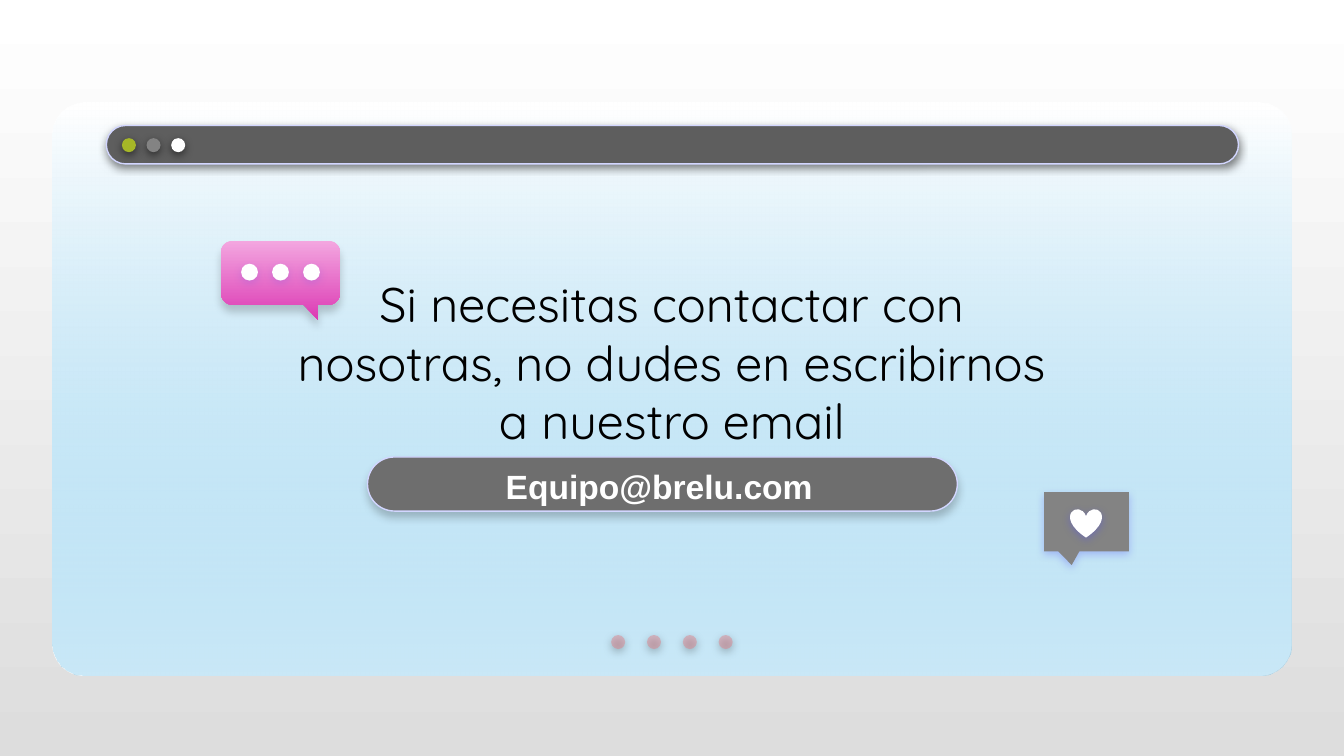
"""Build the contact slide: a browser card with an e-mail pill and chat bubbles."""
from math import cos, radians, sin

from lxml.etree import SubElement
from pptx import Presentation
from pptx.dml.color import RGBColor as RGB
from pptx.enum.shapes import MSO_SHAPE as Kind
from pptx.enum.text import MSO_ANCHOR as Anchor, PP_ALIGN as Align
from pptx.oxml.ns import qn
from pptx.util import Pt

WHITE = RGB(0xFF, 0xFF, 0xFF)
BLACK = RGB(0, 0, 0)
MIST = RGB(0xDD, 0xDD, 0xDD)
SKY = RGB(0x66, 0xBE, 0xE9)
ROSE = RGB(0xE2, 0x7B, 0x83)
LILAC = RGB(0xD2, 0xD6, 0xFF)
DARK = RGB(0x5E, 0x5E, 0x5E)
STONE = RGB(0x6E, 0x6E, 0x6E)
GREY = RGB(0x83, 0x83, 0x83)
LIME = RGB(0xA6, 0xB7, 0x27)
PINK = RGB(0xF3, 0xA7, 0xE0)
ROUGE = RGB(0xDC, 0x3B, 0xB4)
BLUE = RGB(0x53, 0x52, 0xEE)


def blend(fill, top, end):
    fill.gradient()
    fill.gradient_angle = 270
    for stop, tint, place in zip(fill.gradient_stops, (top, end), (0, 1)):
        stop.color.rgb = tint
        stop.position = place


def dress(shape, fill=None, alpha=None, line=None, shade=None):
    shape.shadow.inherit = False
    if fill is not None:
        shape.fill.solid()
        shape.fill.fore_color.rgb = fill
    if line is None:
        shape.line.fill.background()
    else:
        shape.line.color.rgb = line
        shape.line.width = Pt(0.75)
    props = shape._element.spPr
    if alpha:
        for tint in props.findall(".//" + qn("a:srgbClr"))[-1:]:
            SubElement(tint, qn("a:alpha"), val=str(alpha * 1000))
    if shade:
        tone, part, dist = shade
        glow = SubElement(props.find(qn("a:effectLst")), qn("a:outerShdw"),
                          blurRad=str(Pt(4.5)), dist=str(Pt(dist)),
                          dir="5400000", algn="bl", rotWithShape="0")
        tint = SubElement(glow, qn("a:srgbClr"), val=str(tone))
        SubElement(tint, qn("a:alpha"), val=str(part * 1000))


deck = Presentation()
deck.slide_width, deck.slide_height = Pt(720), Pt(405)
slide = deck.slides.add_slide(deck.slide_layouts[5])
shapes = slide.shapes
blend(slide.background.fill, WHITE, MIST)

for tint in (WHITE, None):
    card = shapes.add_shape(Kind.ROUNDED_RECTANGLE, Pt(28), Pt(55.2), Pt(664), Pt(307))
    card.adjustments[0] = 0.056
    if tint is None:
        blend(card.fill, WHITE, SKY)
        dress(card, alpha=35)
    else:
        dress(card, tint)

for box, tint, shade in (
    ((57, 67.2, 606.5, 20.6), DARK, (BLACK, 50, 1.5)),
    ((196.9, 244.8, 316, 29), STONE, (BLACK, 22, 3)),
):
    bar = shapes.add_shape(Kind.ROUNDED_RECTANGLE, *map(Pt, box))
    bar.adjustments[0] = 0.5
    dress(bar, tint, line=LILAC, shade=shade)

for left, top, size, step, tints, alpha, shade in (
    (327.4, 340.2, 7.5, 19.2, [ROSE] * 4, 44, (BLACK, 50, 1.5)),
    (65.3, 74, 7.5, 13.2, [LIME, GREY, WHITE], None, (BLACK, 50, 1.5)),
):
    for i, tint in enumerate(tints):
        dot = shapes.add_shape(Kind.OVAL, Pt(left + i * step), Pt(top), Pt(size), Pt(size))
        dress(dot, tint, alpha, shade=shade)

title = shapes.title
shapes._spTree.append(title._element)
lead = shapes.add_textbox(0, 0, 0, 0)
for item, box, words, look in (
    (title, (218.9, 249.1, 268.6, 23), "Equipo@brelu.com",
     {"size": Pt(18), "name": "Arial", "bold": True}),
    (lead, (150.2, 115.2, 419.8, 157),
     "Si necesitas contactar con nosotras, no dudes en escribirnos a nuestro email",
     {"size": Pt(26), "name": "Quicksand", "bold": False}),
):
    item.left, item.top, item.width, item.height = map(Pt, box)
    frame = item.text_frame
    frame.text = words
    frame.word_wrap = True
    frame.vertical_anchor = Anchor.MIDDLE
    for side in ("left", "right", "top", "bottom"):
        setattr(frame, "margin_" + side, Pt(7.2))
    para = frame.paragraphs[0]
    para.alignment = Align.CENTER
    for key, value in look.items():
        setattr(para.font, key, value)
    para.font.color.rgb = WHITE if item is title else BLACK

note = shapes.add_shape(Kind.RECTANGULAR_CALLOUT, Pt(559.3), Pt(263.7), Pt(45.5), Pt(31.7))
note.adjustments[0], note.adjustments[1] = -0.174, 0.731
dress(note, GREY, shade=(BLUE, 31, 1.5))
heart = shapes.add_shape(Kind.HEART, Pt(573.3), Pt(272.6), Pt(17), Pt(15.4))
dress(heart, WHITE, shade=(BLUE, 38, 1.5))

left, top, right, base, curve = 118.4, 129, 182.2, 163.3, 6.3
edge = []
for x, y, start in (
    (left + curve, top + curve, 180), (right - curve, top + curve, 270),
    (right - curve, base - curve, 0), (left + curve, base - curve, 90),
):
    if start == 90:
        edge += [(170.3, base), (170.3, 171.3), (162.7, base)]
    for turn in range(start, start + 91, 10):
        edge.append((x + curve * cos(radians(turn)), y + curve * sin(radians(turn))))
pen = shapes.build_freeform(Pt(edge[0][0]), Pt(edge[0][1]))
pen.add_line_segments([(Pt(x), Pt(y)) for x, y in edge[1:]], close=True)
chat = pen.convert_to_shape()
blend(chat.fill, PINK, ROUGE)
dress(chat, shade=(BLACK, 18, 3.8))
for i in range(3):
    dot = shapes.add_shape(Kind.OVAL, Pt(129.2 + i * 16.6), Pt(141.3), Pt(9), Pt(9))
    dress(dot, WHITE, shade=(BLUE, 18, 1.5))

deck.save("out.pptx")
